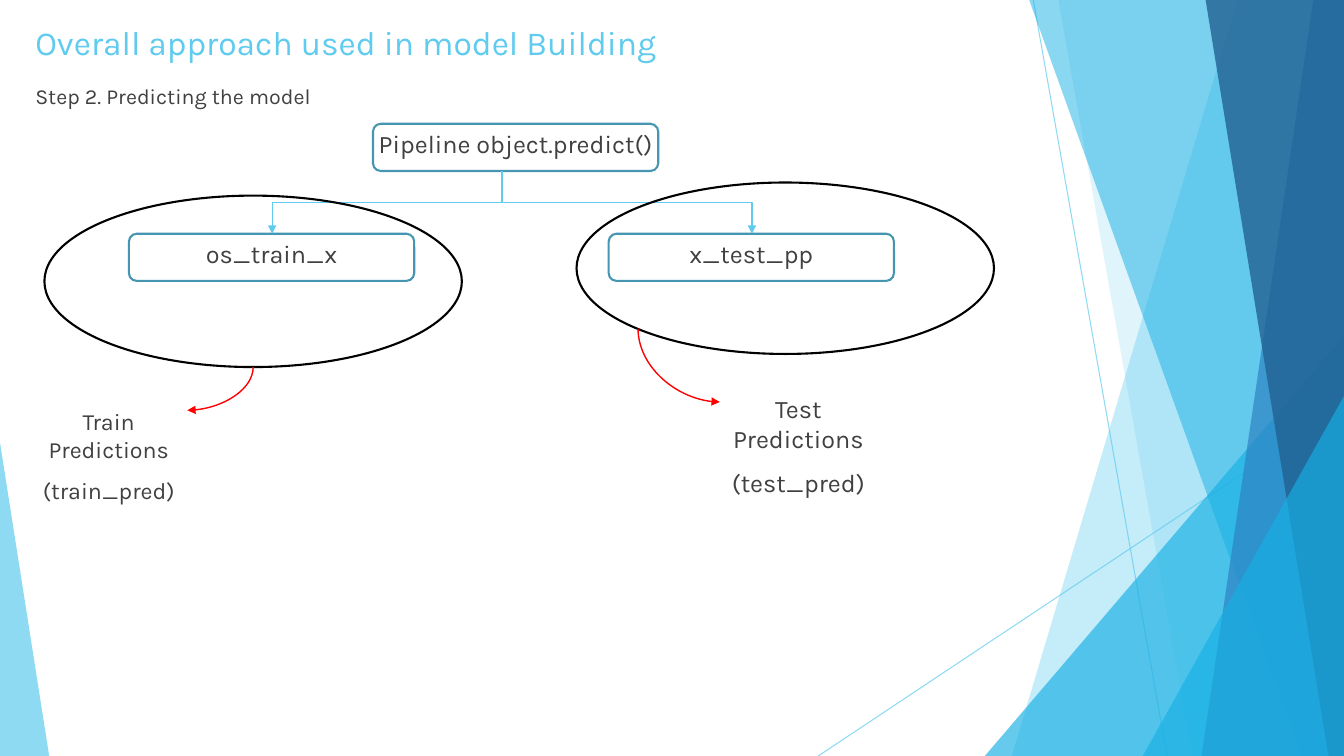
from lxml.etree import SubElement
from pptx import Presentation
from pptx.dml.color import RGBColor
from pptx.enum.shapes import MSO_CONNECTOR, MSO_SHAPE
from pptx.enum.text import PP_ALIGN
from pptx.oxml.ns import qn
from pptx.util import Cm, Pt

STRAIGHT, ELBOW, CURVE = MSO_CONNECTOR.STRAIGHT, MSO_CONNECTOR.ELBOW, MSO_CONNECTOR.CURVE
ROUNDED, OVAL = MSO_SHAPE.ROUNDED_RECTANGLE, MSO_SHAPE.OVAL
TRIANGLE = MSO_SHAPE.ISOSCELES_TRIANGLE
LEFT, CENTER = PP_ALIGN.LEFT, PP_ALIGN.CENTER

SKY = RGBColor(0x5F, 0xCB, 0xEF)
CYAN = RGBColor(0x17, 0xB0, 0xE4)
BLUE = RGBColor(0x2E, 0x83, 0xC3)
NAVY = RGBColor(0x22, 0x62, 0x92)
TEAL = RGBColor(0x46, 0x96, 0xB1)
RED = RGBColor(0xFF, 0x00, 0x00)
BLACK = RGBColor(0x00, 0x00, 0x00)
GREY = RGBColor(0x40, 0x40, 0x40)

FONT = "Karla"
SLIDE_W, SLIDE_H = 33.87, 19.05
BLEED = -0.02
STEP_W, STEP_H = 7.19, 1.19
LABEL_W, LABEL_H = 8.43, 1.47
GROUP_W, GROUP_H = 10.52, 4.32


def set_opacity(element, percent):
    for color in element.iter(qn("a:srgbClr")):
        SubElement(color, qn("a:alpha"), val=str(percent * 1000))


def fill_decoration(shape, color, opacity):
    shape.shadow.inherit = False
    shape.fill.solid()
    shape.fill.fore_color.rgb = color
    shape.line.fill.background()
    set_opacity(shape._element.spPr, opacity)


def add_wedge(slide, top_x, bottom_x, color, opacity):
    builder = slide.shapes.build_freeform(Cm(top_x), Cm(BLEED))
    builder.add_line_segments([
        (Cm(SLIDE_W), Cm(BLEED)),
        (Cm(SLIDE_W), Cm(SLIDE_H)),
        (Cm(bottom_x), Cm(SLIDE_H)),
    ], close=True)
    fill_decoration(builder.convert_to_shape(), color, opacity)


def add_corner(slide, left, top, width, apex, color, opacity):
    corner = slide.shapes.add_shape(
        TRIANGLE, Cm(left), Cm(top), Cm(width), Cm(SLIDE_H - top))
    corner.adjustments[0] = apex
    fill_decoration(corner, color, opacity)


def add_line(slide, kind, start, end, color, weight):
    line = slide.shapes.add_connector(
        kind, *(Cm(value) for value in (*start, *end)))
    line.line.color.rgb = color
    line.line.width = Pt(weight)
    SubElement(line._element.spPr, qn("a:effectLst"))
    return line


def add_ray(slide, start, end):
    ray = add_line(slide, STRAIGHT, start, end, SKY, 0.75)
    set_opacity(ray._element.spPr, 70)


def add_downward_arrow(slide, kind, start, end, color):
    run, drop = end[0] - start[0], end[1] - start[1]
    mid_x, mid_y = (start[0] + end[0]) / 2, (start[1] + end[1]) / 2
    half_w = drop / 2 if run < 0 else -drop / 2
    half_h = abs(run) / 2
    arrow = add_line(slide, kind, (mid_x - half_w, mid_y - half_h),
                     (mid_x + half_w, mid_y + half_h), color, 1)
    properties = arrow._element.spPr
    turn = 90 if run < 0 else 270
    properties.find(qn("a:xfrm")).set("rot", str(turn * 60000))
    if kind == CURVE:
        properties.find(qn("a:prstGeom")).set("prst", "curvedConnector2")
    SubElement(properties.find(qn("a:ln")), qn("a:tailEnd"), type="triangle")


def add_outline(slide, kind, left, top, width, height, color):
    outline = slide.shapes.add_shape(kind, Cm(left), Cm(top), Cm(width), Cm(height))
    outline.shadow.inherit = False
    outline.fill.background()
    outline.line.color.rgb = color
    outline.line.width = Pt(1.5)


def add_text(slide, left, top, width, height, lines, size,
             color=GREY, align=CENTER, space=10):
    box = slide.shapes.add_textbox(Cm(left), Cm(top), Cm(width), Cm(height))
    frame = box.text_frame
    frame.word_wrap = True
    for index, line in enumerate(lines):
        paragraph = frame.add_paragraph() if index else frame.paragraphs[0]
        paragraph.alignment = align
        paragraph.space_before = Pt(space)
        run = paragraph.add_run()
        run.text = line
        run.font.name = FONT
        run.font.size = Pt(size)
        run.font.color.rgb = color


def add_step(slide, left, top, label):
    add_text(slide, left + (STEP_W - LABEL_W) / 2, top, LABEL_W, LABEL_H, [label], 18)
    add_outline(slide, ROUNDED, left, top, STEP_W, STEP_H, TEAL)


def add_backdrop(slide):
    add_ray(slide, (26.04, 0), (29.41, SLIDE_H))
    add_ray(slide, (SLIDE_W, 10.24), (20.62, SLIDE_H))
    add_wedge(slide, 31.19, 25.5, SKY, 36)
    add_wedge(slide, 26.67, 30.05, SKY, 20)
    add_corner(slide, 24.82, 8.46, 9.05, 1, CYAN, 66)
    add_wedge(slide, 25.93, 32.79, CYAN, 50)
    add_wedge(slide, 33.1, 30.28, BLUE, 70)
    add_wedge(slide, 30.38, 33.48, NAVY, 80)
    add_corner(slide, 28.8, 9.98, 5.07, 1, CYAN, 66)
    add_corner(slide, 0, 11.15, 1.24, 0, SKY, 70)


def main():
    deck = Presentation()
    deck.slide_width, deck.slide_height = Cm(SLIDE_W), Cm(SLIDE_H)
    slide = deck.slides.add_slide(deck.slide_layouts[6])
    add_backdrop(slide)

    add_text(slide, 0.64, 0.43, 16.59, 1.37,
             ["Overall approach used in model Building"], 24, SKY, LEFT, 0)
    add_text(slide, 0.64, 1.98, 8.15, 1.37,
             ["Step 2. Predicting the model"], 15.3, align=LEFT)

    add_step(slide, 9.4, 3.12, "Pipeline object.predict()")
    add_step(slide, 3.25, 5.89, "os_train_x")
    add_step(slide, 15.34, 5.89, "x_test_pp")
    for branch_x in (6.86, 18.95):
        add_downward_arrow(slide, ELBOW, (12.65, 4.32), (branch_x, 5.89), SKY)

    add_outline(slide, OVAL, 1.12, 4.93, GROUP_W, GROUP_H, BLACK)
    add_downward_arrow(slide, CURVE, (6.38, 9.25), (4.72, 10.34), RED)
    add_outline(slide, OVAL, 14.53, 4.6, GROUP_W, GROUP_H, BLACK)
    add_downward_arrow(slide, CURVE, (16.08, 8.28), (18.14, 10.13), RED)

    add_text(slide, 0.76, 10.13, 3.96, 3.2, ["Train Predictions", "(train_pred)"], 16.6)
    add_text(slide, 18.14, 9.78, 3.96, 3.2, ["Test Predictions", "(test_pred)"], 18)
    deck.save("out.pptx")


if __name__ == "__main__":
    main()
